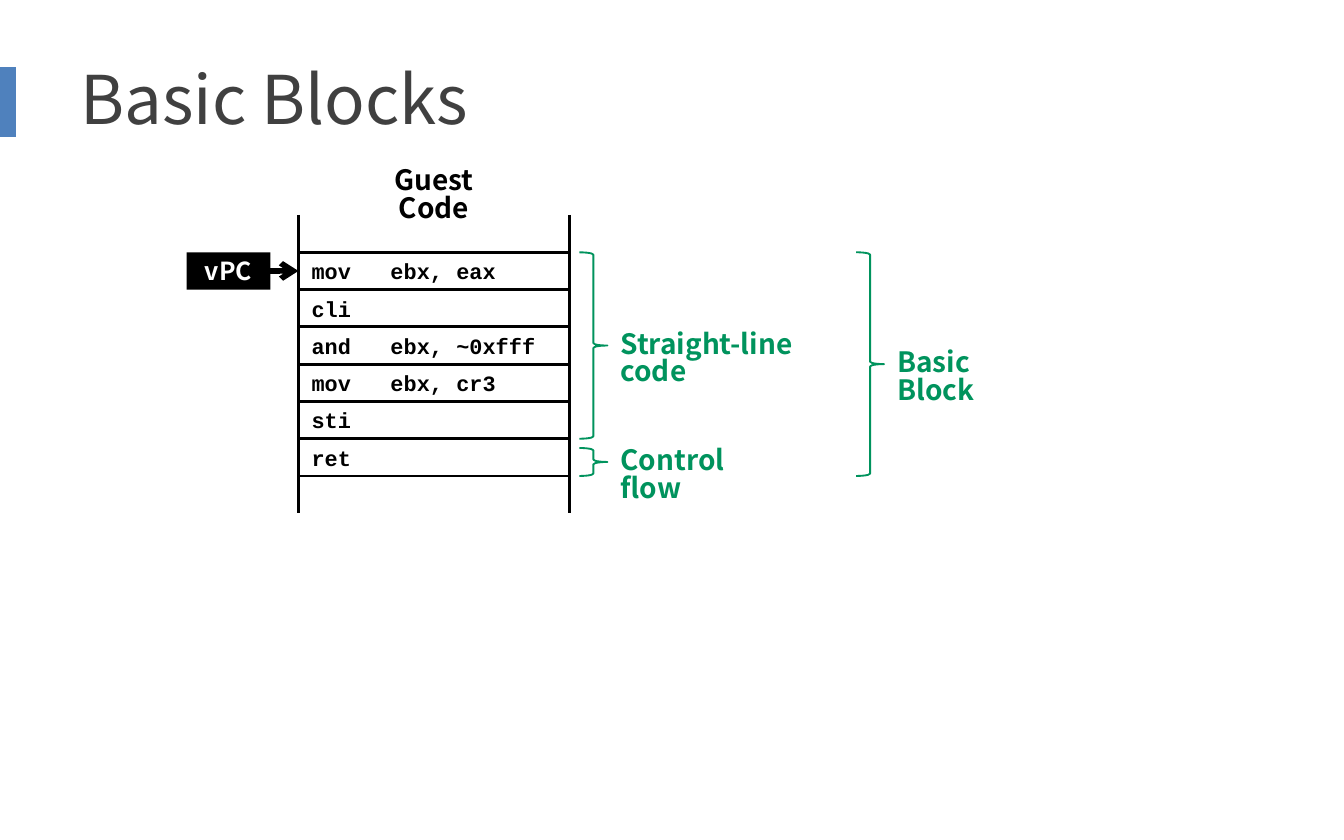
import pptx
import pptx.dml.color
import pptx.enum.shapes
import pptx.enum.text
import pptx.oxml
import pptx.oxml.ns
import pptx.util
from pptx.util import Cm

COLORS = {"ink": "000000", "paper": "FFFFFF", "title": "404040", "accent": "4F81BD", "note": "00935D"}
SANS, MONO = "Noto Sans CJK SC", "Courier New"
CODE = ["mov   ebx, eax", "cli", "and   ebx, ~0xfff", "mov   ebx, cr3", "sti", "ret"]
CODE_LEFT, CODE_TOP, CODE_WIDTH = 5.64, 4.77, 5.12
CODE_HEIGHT = 4.23
ROW = CODE_HEIGHT / len(CODE)
BRACE_WIDTH, LABEL_HEIGHT = 0.53, 0.89
SHAPES = pptx.enum.shapes.MSO_SHAPE
ALIGN = pptx.enum.text.PP_ALIGN
ANCHOR = pptx.enum.text.MSO_ANCHOR


def color(name):
    """Return the named palette colour."""
    return pptx.dml.color.RGBColor.from_string(COLORS[name])


def write(shape, text, size, ink, font=SANS, bold=True, align=ALIGN.LEFT, anchor=ANCHOR.MIDDLE):
    """Write one paragraph in a shape and return the paragraph."""
    frame = shape.text_frame
    frame.word_wrap = True
    frame.vertical_anchor = anchor
    paragraph = frame.paragraphs[0]
    paragraph.alignment = align
    run = paragraph.add_run()
    run.text = text
    run.font.size = pptx.util.Pt(size)
    run.font.name = font
    run.font.bold = bold
    run.font.color.rgb = color(ink)
    east_asian = pptx.oxml.parse_xml(f'<a:ea {pptx.oxml.ns.nsdecls("a")} typeface="{font}"/>')
    run.font._element.find(pptx.oxml.ns.qn("a:latin")).addnext(east_asian)
    return paragraph


def add_box(slide, left, top, width, height, fill, outlined=False):
    """Add a filled rectangle, optionally with a black outline."""
    box = slide.shapes.add_shape(SHAPES.RECTANGLE, Cm(left), Cm(top), Cm(width), Cm(height))
    box.shadow.inherit = False
    box.fill.solid()
    box.fill.fore_color.rgb = color(fill)
    if outlined:
        box.line.color.rgb = color("ink")
        box.line.width = pptx.util.Pt(1.5)
    else:
        box.line.fill.background()
    return box


def add_line(slide, start, end, width):
    """Add a black straight line between two points."""
    line = slide.shapes.add_connector(pptx.enum.shapes.MSO_CONNECTOR.STRAIGHT, *map(Cm, start + end))
    line.line.color.rgb = color("ink")
    line.line.width = pptx.util.Pt(width)
    line._element.spPr.append(pptx.oxml.parse_xml(f'<a:effectLst {pptx.oxml.ns.nsdecls("a")}/>'))
    return line


def add_arrow(slide, source, target):
    """Join the right side of one box to the left side of another."""
    arrow = add_line(slide, (0, 0), (1, 1), 3)
    arrow.begin_connect(source, 3)
    arrow.end_connect(target, 1)
    tail = pptx.oxml.parse_xml(f'<a:tailEnd {pptx.oxml.ns.nsdecls("a")} type="arrow"/>')
    arrow.line._get_or_add_ln().append(tail)


def add_label(slide, text, left, top, width, ink, align=ALIGN.LEFT):
    """Add a bold label with tight line spacing."""
    label = slide.shapes.add_textbox(Cm(left), Cm(top), Cm(width), Cm(LABEL_HEIGHT))
    label.text_frame.margin_top = Cm(0.19)
    paragraph = write(label, text, 15, ink, align=align, anchor=ANCHOR.TOP)
    paragraph.line_spacing = 0.82


def add_brace(slide, text, left, top, bottom, label_width):
    """Add a right brace with a label at its point."""
    brace = slide.shapes.add_shape(
        SHAPES.RIGHT_BRACE, Cm(left), Cm(top), Cm(BRACE_WIDTH), Cm(bottom - top))
    brace.shadow.inherit = False
    brace.fill.background()
    brace.line.color.rgb = color("note")
    brace.line.width = pptx.util.Pt(1)
    label_top = (top + bottom - LABEL_HEIGHT) / 2
    add_label(slide, text, left + BRACE_WIDTH, label_top, label_width, "note")


def add_code(slide):
    """Add the code rows between two rails and return the first row."""
    rows = []
    for index, text in enumerate(CODE):
        row = add_box(slide, CODE_LEFT, CODE_TOP + index * ROW, CODE_WIDTH, ROW, "paper", True)
        write(row, text, 11.7, "ink", MONO)
        rows.append(row)
    bottom = CODE_TOP + CODE_HEIGHT + ROW
    for rail in (CODE_LEFT, CODE_LEFT + CODE_WIDTH):
        add_line(slide, (rail, CODE_TOP - ROW), (rail, bottom), 1.5)
    return rows[0]


def main():
    """Build the slide and save it."""
    presentation = pptx.Presentation()
    presentation.slide_width, presentation.slide_height = Cm(25.4), Cm(15.88)
    slide = presentation.slides.add_slide(presentation.slide_layouts[6])

    add_box(slide, 0, 1.27, 0.3, 1.32, "accent")
    title = slide.shapes.add_textbox(Cm(1.27), Cm(0.6), Cm(22.86), Cm(2.49))
    write(title, "Basic Blocks", 36, "title", bold=False)

    counter = add_box(slide, 3.53, CODE_TOP, 1.58, ROW, "ink")
    counter.text_frame.margin_top = counter.text_frame.margin_bottom = 0
    write(counter, "vPC", 13.3, "paper", align=ALIGN.CENTER)
    first_row = add_code(slide)
    add_arrow(slide, counter, first_row)
    add_label(slide, "Guest Code", 6.55, 3, 3.3, "ink", ALIGN.CENTER)

    code_bottom = CODE_TOP + CODE_HEIGHT
    add_brace(slide, "Straight-line code", 10.95, CODE_TOP, code_bottom - ROW, 4.9)
    add_brace(slide, "Control flow", 10.95, code_bottom - BRACE_WIDTH, code_bottom, 3.53)
    add_brace(slide, "Basic Block", 16.18, CODE_TOP, code_bottom, 3.2)
    presentation.save("out.pptx")


if __name__ == "__main__":
    main()
